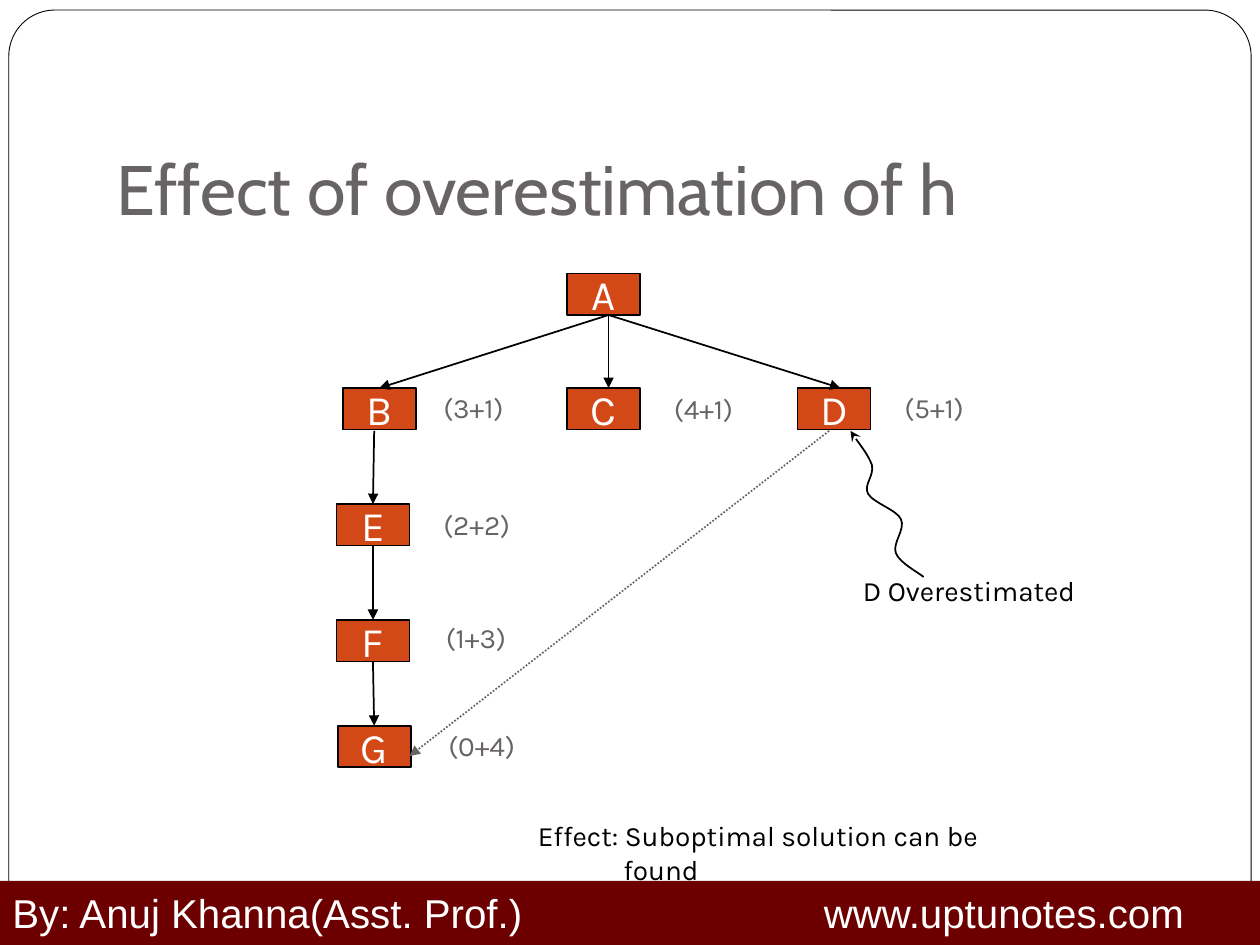
from lxml import etree
from pptx import Presentation
from pptx.dml.color import RGBColor
from pptx.enum import dml, shapes, text
from pptx.oxml.ns import qn
from pptx.util import Inches, Pt

COLORS = {"paper": "FFFFFF", "ink": "000000", "gray": "696464",
          "node": "D34817", "footer": "6C0000"}
NODE_W, NODE_H = 0.58, 0.33
TOP, LEFT, BOTTOM = 0, 1, 2

NODES = {"A": (4.5, 2.17), "B": (2.72, 3.08), "C": (4.5, 3.08), "D": (6.33, 3.08),
         "E": (2.67, 4), "F": (2.67, 4.92), "G": (2.68, 5.76)}
COSTS = [("(3+1)", 3.42, 3.05), ("(4+1)", 5.25, 3.06), ("(5+1)", 7.08, 3.05),
         ("(2+2)", 3.42, 3.98), ("(1+3)", 3.44, 4.88), ("(0+4)", 3.46, 5.73)]
EDGES = [((4.83, 2.5), (3, 3.08), None, "B"),
         ((4.83, 2.5), (4.83, 3.08), None, None),
         ((4.83, 2.5), (6.67, 3.08), None, None),
         ((2.97, 3.42), (2.97, 4), None, "E"),
         ((2.97, 4.33), (2.97, 4.92), "E", "F"),
         ((2.96, 5.25), (2.96, 5.75), "F", "G")]
SHORTCUT = ((6.58, 3.42), (3.25, 6))
SQUIGGLE = [(7.33, 4.58), (7.3, 4.55), (7.14, 4.47), (7.11, 4.39),
            (7.08, 4.31), (7.19, 4.2), (7.15, 4.12),
            (7.12, 4.05), (6.93, 3.99), (6.89, 3.92),
            (6.85, 3.85), (6.94, 3.78), (6.92, 3.69),
            (6.89, 3.61), (6.78, 3.47), (6.75, 3.42)]
FOOTER = "By: Anuj Khanna(Asst. Prof.)\twww.uptunotes.com"


def rgb(name):
    return RGBColor.from_string(COLORS[name])


def write(shape, words, size, color, font="Karla"):
    paragraph = shape.text_frame.paragraphs[0]
    paragraph.text = words
    for run in paragraph.runs:
        run.font.size, run.font.name = Pt(size), font
        run.font.color.rgb = rgb(color)
    return paragraph


def add_box(kind, left, top, width, height, fill, line_width=None):
    box = slide.shapes.add_shape(kind, *map(Inches, (left, top, width, height)))
    box.shadow.inherit = False
    box.fill.solid()
    box.fill.fore_color.rgb = rgb(fill)
    if line_width:
        box.line.color.rgb = rgb("ink")
        box.line.width = Pt(line_width)
    else:
        box.line.fill.background()
    return box


def add_label(words, left, top, width, height=0.37, size=16, color="gray", font="Karla"):
    label = slide.shapes.add_textbox(*map(Inches, (left, top, width, height)))
    label.text_frame.word_wrap = True
    write(label, words, size, color, font)
    return label


def style_arrow(arrow, color, head, dash=None):
    arrow.line.color.rgb = rgb(color)
    arrow.line.width = Pt(1)
    if dash:
        arrow.line.dash_style = dash
    etree.SubElement(arrow.line._get_or_add_ln(), qn("a:tailEnd"), type=head)


def add_arrow(start, end, color="ink", dash=None):
    arrow = slide.shapes.add_connector(shapes.MSO_CONNECTOR.STRAIGHT,
                                       *map(Inches, start + end))
    style_arrow(arrow, color, "triangle", dash)
    etree.SubElement(arrow._element.spPr, qn("a:effectLst"))
    return arrow


def add_curve(points):
    builder = slide.shapes.build_freeform(*map(Inches, points[0]), scale=1.0)
    builder.add_line_segments([tuple(map(Inches, p)) for p in points[1:]], close=False)
    curve = builder.convert_to_shape()
    curve.shadow.inherit = False
    curve.fill.background()
    segments = list(curve._element.iter(qn("a:lnTo")))
    outline = segments[0].getparent()
    for i in range(0, len(segments), 3):
        bezier = etree.SubElement(outline, qn("a:cubicBezTo"))
        for segment in segments[i:i + 3]:
            bezier.append(segment[0])
            outline.remove(segment)
    style_arrow(curve, "ink", "stealth")


prs = Presentation()
prs.slide_width, prs.slide_height = Inches(10), Inches(7.5)
slide = prs.slides.add_slide(prs.slide_layouts[6])

frame = add_box(shapes.MSO_SHAPE.ROUNDED_RECTANGLE, 0.07, 0.08, 9.86, 7.32, "paper", 0.5)
frame.adjustments[0] = 0.05

title = add_label("Effect of overestimation of h", 0.83, 0.67, 8.5, 1.25, 40, font="Cabin")
title.text_frame.vertical_anchor = text.MSO_ANCHOR.BOTTOM
title.text_frame.margin_bottom = Inches(0.1)

nodes = {}
for name, (left, top) in NODES.items():
    node = add_box(shapes.MSO_SHAPE.RECTANGLE, left, top, NODE_W, NODE_H, "node", 1)
    node.text_frame.word_wrap = False
    node.text_frame.vertical_anchor = text.MSO_ANCHOR.MIDDLE
    write(node, name, 24, "paper").alignment = text.PP_ALIGN.CENTER
    nodes[name] = node

for start, end, parent, child in EDGES:
    edge = add_arrow(start, end)
    if parent:
        edge.begin_connect(nodes[parent], BOTTOM)
    if child:
        edge.end_connect(nodes[child], TOP)

for cost, left, top in COSTS:
    add_label(cost, left, top, 0.83)

add_label("D Overestimated", 6.75, 4.5, 2.58, color="ink")
effect = add_label("Effect: Suboptimal solution can be found", 4.17, 6.45, 4.33, color="ink")
hanging = effect.text_frame.paragraphs[0]._p.get_or_add_pPr()
hanging.set("marL", str(Inches(0.68)))
hanging.set("indent", str(-Inches(0.68)))

add_curve(SQUIGGLE)
add_arrow(*SHORTCUT, color="gray", dash=dml.MSO_LINE.ROUND_DOT)

footer = add_box(shapes.MSO_SHAPE.RECTANGLE, 0, 6.99, 10, 0.51, "footer")
footer_line = write(footer, FOOTER, 23, "paper", "Arial")
footer_line.alignment = text.PP_ALIGN.LEFT
tabs = etree.SubElement(footer_line._p.get_or_add_pPr(), qn("a:tabLst"))
etree.SubElement(tabs, qn("a:tab"), pos=str(Inches(6.44)), algn="l")

prs.save("out.pptx")
